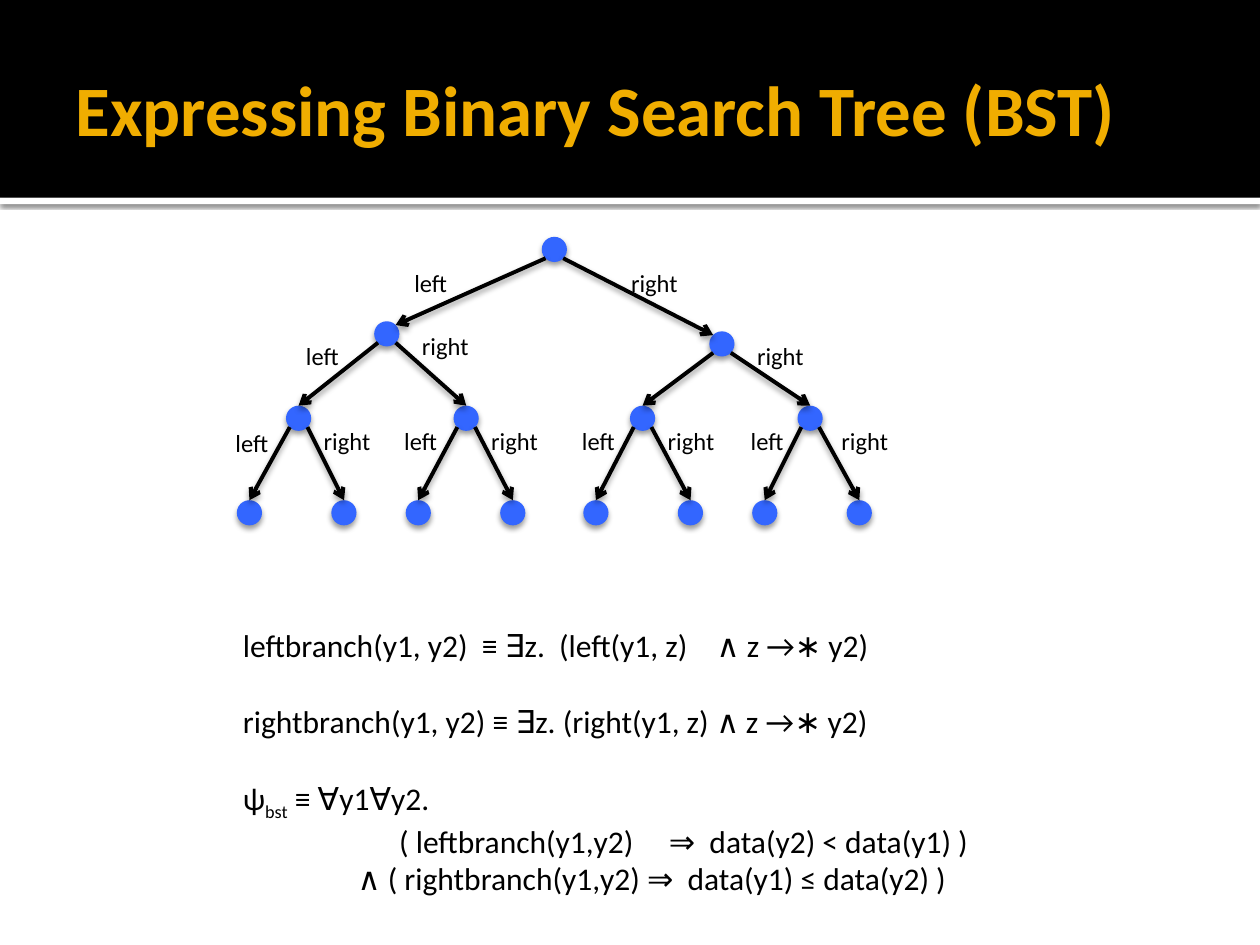
"""Build a slide that expresses a binary search tree in logic."""
from lxml import etree
from pptx import Presentation, util as u
from pptx.dml.color import RGBColor
from pptx.enum import shapes, text
from pptx.oxml import ns

BLACK = RGBColor(0x00, 0x00, 0x00)
WHITE = RGBColor(0xFF, 0xFF, 0xFF)
GOLD = RGBColor(0xF0, 0xAD, 0x00)
BLUE = RGBColor(0x33, 0x66, 0xFF)
FONT = "Calibri"
SIZE = 0.2
REACH = 0.07
LINE_GAP = 22


def add_shadow(shape, alpha, blur, distance):
    """Give a shape a soft black shadow that falls straight down."""
    effects = etree.SubElement(shape._element.spPr, ns.qn("a:effectLst"))
    shadow = etree.SubElement(effects, ns.qn("a:outerShdw"), blurRad=str(u.Pt(blur)),
                              dist=str(u.Pt(distance)), dir="5400000", rotWithShape="0")
    color = etree.SubElement(shadow, ns.qn("a:srgbClr"), val=str(BLACK))
    etree.SubElement(color, ns.qn("a:alpha"), val=str(alpha * 1000))


def add_span(para, words, size=18, color=BLACK, bold=False, baseline=0):
    """Append a formatted run to a paragraph."""
    span = para.add_run()
    span.text = words
    span.font.name, span.font.size, span.font.bold = FONT, u.Pt(size), bold
    span.font.color.rgb = color
    if baseline:
        span.font._element.set("baseline", str(baseline * 1000))


deck = Presentation()
deck.slide_width, deck.slide_height = u.Inches(10), u.Inches(7.5)
page = deck.slides.add_slide(deck.slide_layouts[5])
items = page.shapes

for top, height, color in [(1.57, 0.05, WHITE), (0, 1.57, BLACK)]:
    band = items.add_shape(shapes.MSO_SHAPE.RECTANGLE, 0, u.Inches(top),
                           deck.slide_width, u.Inches(height))
    band.fill.solid()
    band.fill.fore_color.rgb = color
    band.line.fill.background()
    if color == WHITE:
        add_shadow(band, 60, 2.5, 0.8)
    else:
        band.shadow.inherit = False

title = items.title
items._spTree.append(title._element)
title.left, title.top, title.width, title.height = map(u.Inches, (0.5, 0.17, 9, 1.37))
frame = title.text_frame
frame.margin_right = u.Inches(0.05)
frame.vertical_anchor = text.MSO_ANCHOR.MIDDLE
frame.paragraphs[0].alignment = text.PP_ALIGN.LEFT
add_span(frame.paragraphs[0], "Expressing Binary Search Tree (BST)", 40.5, GOLD, True)

formulas = [
    ([("leftbranch(y1, y2)  ≡ ∃z.  (left(y1, z)\t∧ z →∗ y2)", 0)], [3.76], LINE_GAP),
    ([("rightbranch(y1, y2) ≡ ∃z. (right(y1, z) ∧ z →∗ y2)", 0)], [], LINE_GAP),
    ([("ψ", 0), ("bst", -25), (" ≡ ∀y1∀y2.", 0)], [], 0),
    ([("\t( leftbranch(y1,y2)\t⇒  data(y2) < data(y1) )", 0)], [1.24, 3.38], 0),
    ([("\t∧ ( rightbranch(y1,y2) ⇒  data(y1) ≤ data(y2) )", 0)], [0.91], 0),
]
box = items.add_textbox(*map(u.Inches, (1.83, 4.92, 6.42, 2.22)))
frame = box.text_frame
frame.word_wrap = True
for row, (spans, stops, gap) in enumerate(formulas):
    para = frame.add_paragraph() if row else frame.paragraphs[0]
    para.alignment = text.PP_ALIGN.LEFT
    para.space_after = u.Pt(gap)
    if stops:
        tabs = etree.SubElement(para._p.get_or_add_pPr(), ns.qn("a:tabLst"))
        for stop in stops:
            etree.SubElement(tabs, ns.qn("a:tab"), pos=str(u.Inches(stop)), algn="l")
    for words, baseline in spans:
        add_span(para, words, baseline=baseline)

nodes = [(4.4, 1.98), (3.07, 2.65), (5.73, 2.73)]
nodes += [(x, 3.32) for x in (2.37, 3.7, 5.1, 6.43)]
nodes += [(x, 4.07) for x in (1.98, 2.73, 3.32, 4.07, 4.73, 5.48, 6.07, 6.82)]
labels = [(3.19, 2.08), (4.91, 2.08), (2.33, 2.66), (3.25, 2.58), None, (5.91, 2.66),
          (1.77, 3.35)] + [(x, 3.33) for x in (2.47, 3.11, 3.8, 4.52, 5.2, 5.86, 6.58)]

for x, y in nodes:
    node = items.add_shape(shapes.MSO_SHAPE.OVAL, u.Inches(x - SIZE / 2),
                           u.Inches(y - SIZE / 2), u.Inches(SIZE), u.Inches(SIZE))
    node.fill.solid()
    node.fill.fore_color.rgb = BLUE
    node.line.fill.background()
    add_shadow(node, 38, 3.1, 2)

for child, label in enumerate(labels, start=1):
    side, word, width = (-1, "left", 0.48) if child % 2 else (1, "right", 0.59)
    (x1, y1), (x2, y2) = nodes[(child - 1) // 2], nodes[child]
    end = (x2 - side * REACH, y2 - REACH) if child < 3 else (x2, y2 - SIZE / 2)
    edge = items.add_connector(shapes.MSO_CONNECTOR.STRAIGHT,
                               *map(u.Inches, (x1 + side * REACH, y1 + REACH, *end)))
    edge.line.color.rgb = BLACK
    edge.line.width = u.Pt(2.25)
    etree.SubElement(edge.line._get_or_add_ln(), ns.qn("a:tailEnd"), type="arrow")
    add_shadow(edge, 38, 3.5, 2)
    if label:
        box = items.add_textbox(*map(u.Inches, (*label, width, 0.34)))
        box.text_frame.word_wrap = False
        add_span(box.text_frame.paragraphs[0], word, 14)

deck.save("out.pptx")
